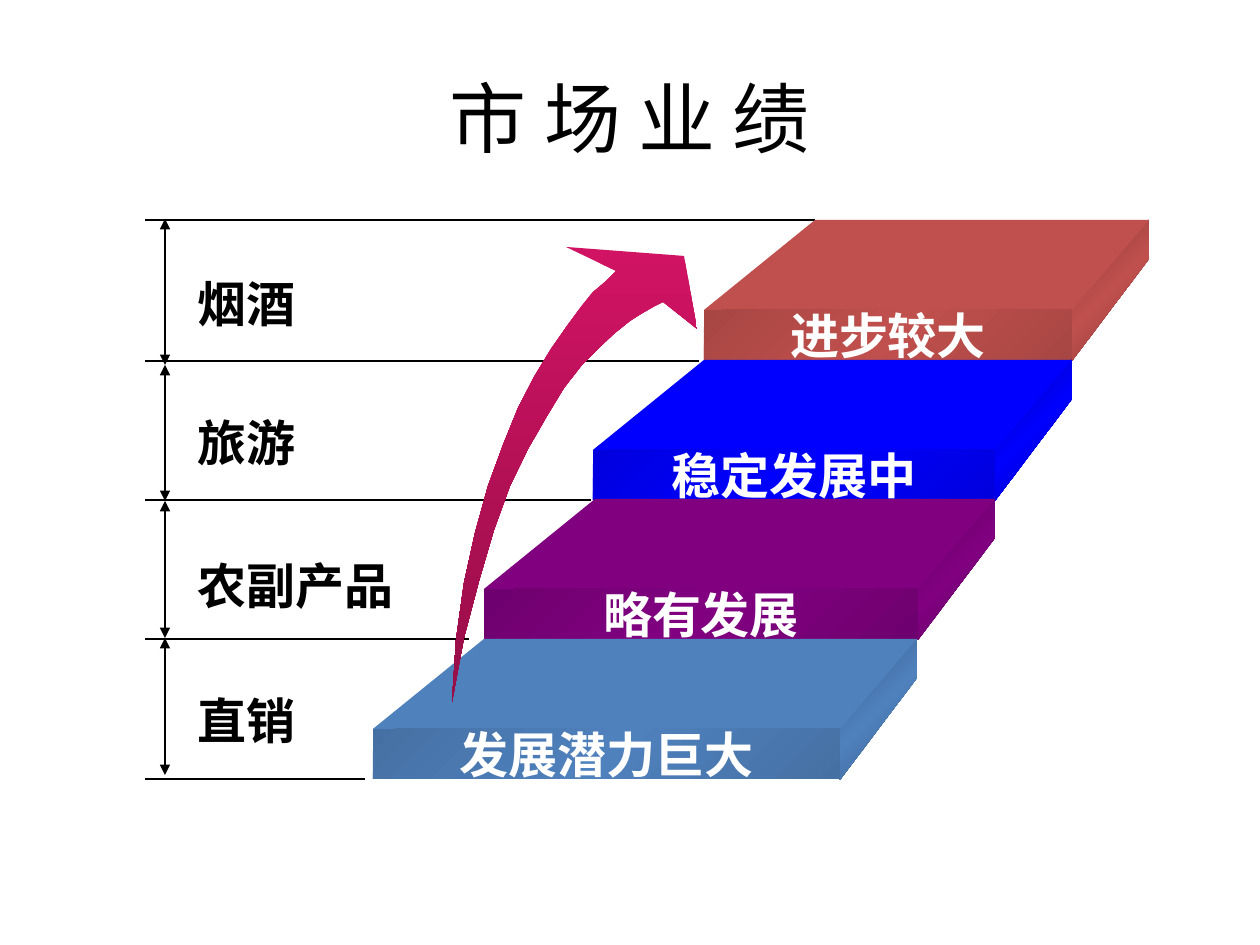
from itertools import pairwise

from lxml import etree
from pptx import Presentation
from pptx.dml.color import RGBColor
from pptx.enum.shapes import MSO_CONNECTOR, MSO_SHAPE
from pptx.enum.text import MSO_ANCHOR, PP_ALIGN
from pptx.oxml.ns import qn
from pptx.util import Emu, Pt

PX = 914400 / 126
STRAIGHT, RECTANGLE = MSO_CONNECTOR.STRAIGHT, MSO_SHAPE.RECTANGLE
TOP, MIDDLE = MSO_ANCHOR.TOP, MSO_ANCHOR.MIDDLE
LEFT, CENTER = PP_ALIGN.LEFT, PP_ALIGN.CENTER

BLACK = RGBColor(0x00, 0x00, 0x00)
WHITE = RGBColor(0xFF, 0xFF, 0xFF)
RED = RGBColor(0xC0, 0x50, 0x4D)
RED_FRONT = RGBColor(0xA7, 0x46, 0x43)
RED_SIDE = RGBColor(0x89, 0x39, 0x37)
BLUE = RGBColor(0x00, 0x00, 0xFF)
BLUE_FRONT = RGBColor(0x00, 0x00, 0xDE)
BLUE_SIDE = RGBColor(0x00, 0x00, 0xB6)
PURPLE = RGBColor(0x80, 0x00, 0x80)
PURPLE_FRONT = RGBColor(0x6F, 0x00, 0x6F)
PURPLE_SIDE = RGBColor(0x5C, 0x00, 0x5C)
STEEL = RGBColor(0x4F, 0x81, 0xBD)
STEEL_FRONT = RGBColor(0x45, 0x70, 0xA4)
STEEL_SIDE = RGBColor(0x39, 0x5C, 0x87)
PINK = RGBColor(0xD1, 0x13, 0x64)
DARK_PINK = RGBColor(0x96, 0x0E, 0x48)

# Stair steps: text, front left, front right, top, face, front and side colours
STEPS = [
    ("进步较大", 704, 1072, 220, RED, RED_FRONT, RED_SIDE),
    ("稳定发展中", 593, 995, 360, BLUE, BLUE_FRONT, BLUE_SIDE),
    ("略有发展", 484, 918, 499, PURPLE, PURPLE_FRONT, PURPLE_SIDE),
    ("发展潜力巨大", 373, 840, 639, STEEL, STEEL_FRONT, STEEL_SIDE),
]
FACE_DEPTH, STEP_HEIGHT, SIDE_EDGE = 90, 140, 39
LEFT_SLANT, RIGHT_SLANT = 111, 77

# Scale at the left: label text, top, width
LABELS = [("烟酒", 267, 125), ("旅游", 406, 125),
          ("农副产品", 549, 224), ("直销", 684, 125)]
RULES = [(365, 779), (469, 639), (591, 500), (699, 361), (815, 220)]
RANGE_STOPS = [219, 365, 501, 638, 775]

ARROW = [
    # Outer curve
    (452, 702), (456, 640), (464, 583), (475, 533), (488, 486), (503, 445),
    (518, 408), (534, 377), (551, 349), (567, 326), (581, 307), (593, 292),
    (605, 282), (616, 271),
    # Head
    (566, 247), (684, 256), (697, 329), (663, 302),
    # Inner curve
    (655, 306), (641, 314), (630, 321), (615, 333), (600, 347), (582, 365),
    (564, 388), (547, 416), (528, 449), (510, 486), (494, 530), (479, 581),
    (464, 638),
]


def px(value):
    return Emu(round(value * PX))


def write_text(shape, text, *, size=28, font="DejaVu Sans", color=BLACK,
               bold=True, align=LEFT, anchor=TOP, wrap=False):
    frame = shape.text_frame
    frame.word_wrap = wrap
    frame.vertical_anchor = anchor
    paragraph = frame.paragraphs[0]
    paragraph.alignment = align
    run = paragraph.add_run()
    run.text = text
    run.font.size = Pt(size)
    run.font.name = font
    run.font.bold = bold
    run.font.color.rgb = color


class StairSlide:
    def __init__(self, slide):
        self.slide = slide
        self.shapes = slide.shapes
        self.line_width = Pt(0.75)

    def text(self, text, left, top, width, height, **style):
        box = self.shapes.add_textbox(px(left), px(top), px(width), px(height))
        write_text(box, text, **style)

    def line(self, start, end, arrows=False):
        connector = self.shapes.add_connector(
            STRAIGHT, *(px(value) for value in (*start, *end)))
        connector.line.color.rgb = BLACK
        connector.line.width = self.line_width
        properties = connector._element.spPr
        if arrows:
            outline = properties.find(qn("a:ln"))
            for end_tag in ("a:headEnd", "a:tailEnd"):
                etree.SubElement(outline, qn(end_tag), type="triangle")
        etree.SubElement(properties, qn("a:effectLst"))

    def paint(self, shape, colors, angle):
        """Fill with one colour, or with a gradient of evenly spaced colours."""
        shape.shadow.inherit = False
        shape.line.fill.background()
        if len(colors) == 1:
            shape.fill.solid()
            shape.fill.fore_color.rgb = colors[0]
            return
        shape.fill.gradient()
        shape.fill.gradient_angle = 360 - angle
        stops = shape._element.spPr.find(qn("a:gradFill")).find(qn("a:gsLst"))
        for stop in list(stops):
            stops.remove(stop)
        for index, color in enumerate(colors):
            position = 100000 * index // (len(colors) - 1)
            stop = etree.SubElement(stops, qn("a:gs"), pos=str(position))
            etree.SubElement(stop, qn("a:srgbClr"), val=str(color))

    def polygon(self, points, *colors, angle=45):
        start, *others = [(px(x), px(y)) for x, y in points]
        builder = self.shapes.build_freeform(*start, scale=1.0)
        builder.add_line_segments(others, close=True)
        self.paint(builder.convert_to_shape(), colors, angle)

    def step(self, text, left, right, top, color, front_color, side_color):
        edge, bottom = top + FACE_DEPTH, top + STEP_HEIGHT
        back = right + RIGHT_SLANT
        self.polygon([(back, top + SIDE_EDGE), (right, bottom + 1),
                      (right, edge), (back, top)],
                     side_color, color, side_color)
        self.polygon([(right, edge), (left, edge),
                      (left + LEFT_SLANT, top), (back, top)], color)
        front = self.shapes.add_shape(RECTANGLE, px(left), px(edge),
                                      px(right - left), px(bottom - edge))
        self.paint(front, (front_color, color, front_color), 45)
        write_text(front, text, color=WHITE, align=CENTER, anchor=MIDDLE)


def main():
    presentation = Presentation()
    presentation.slide_width, presentation.slide_height = px(1260), px(945)
    stairs = StairSlide(
        presentation.slides.add_slide(presentation.slide_layouts[6]))

    # Title
    stairs.text("市 场 业 绩", 63, 38, 1134, 157, size=44, font="Calibri",
                bold=False, align=CENTER, anchor=MIDDLE, wrap=True)

    # Scale lines, ranges and labels
    for right, y in RULES:
        stairs.line((right, y), (145, y))
    for top, bottom in pairwise(RANGE_STOPS):
        stairs.line((165, top), (165, bottom), arrows=True)
    for text, top, width in LABELS:
        stairs.text(text, 185, top, width, 72)

    # Stairs and rising arrow
    for step in STEPS:
        stairs.step(*step)
    stairs.polygon(ARROW, PINK, DARK_PINK, angle=90)

    presentation.save("out.pptx")


if __name__ == "__main__":
    main()
